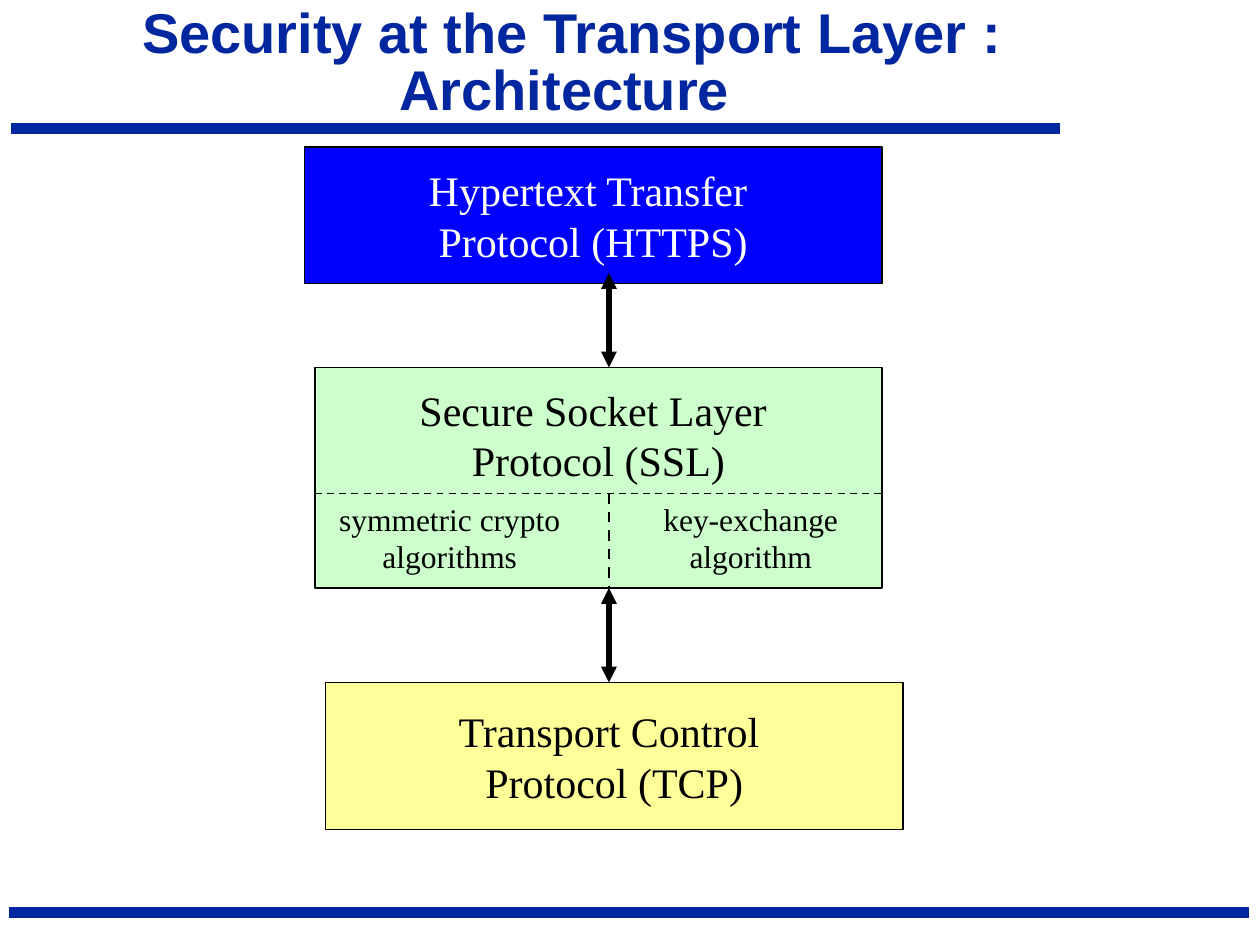
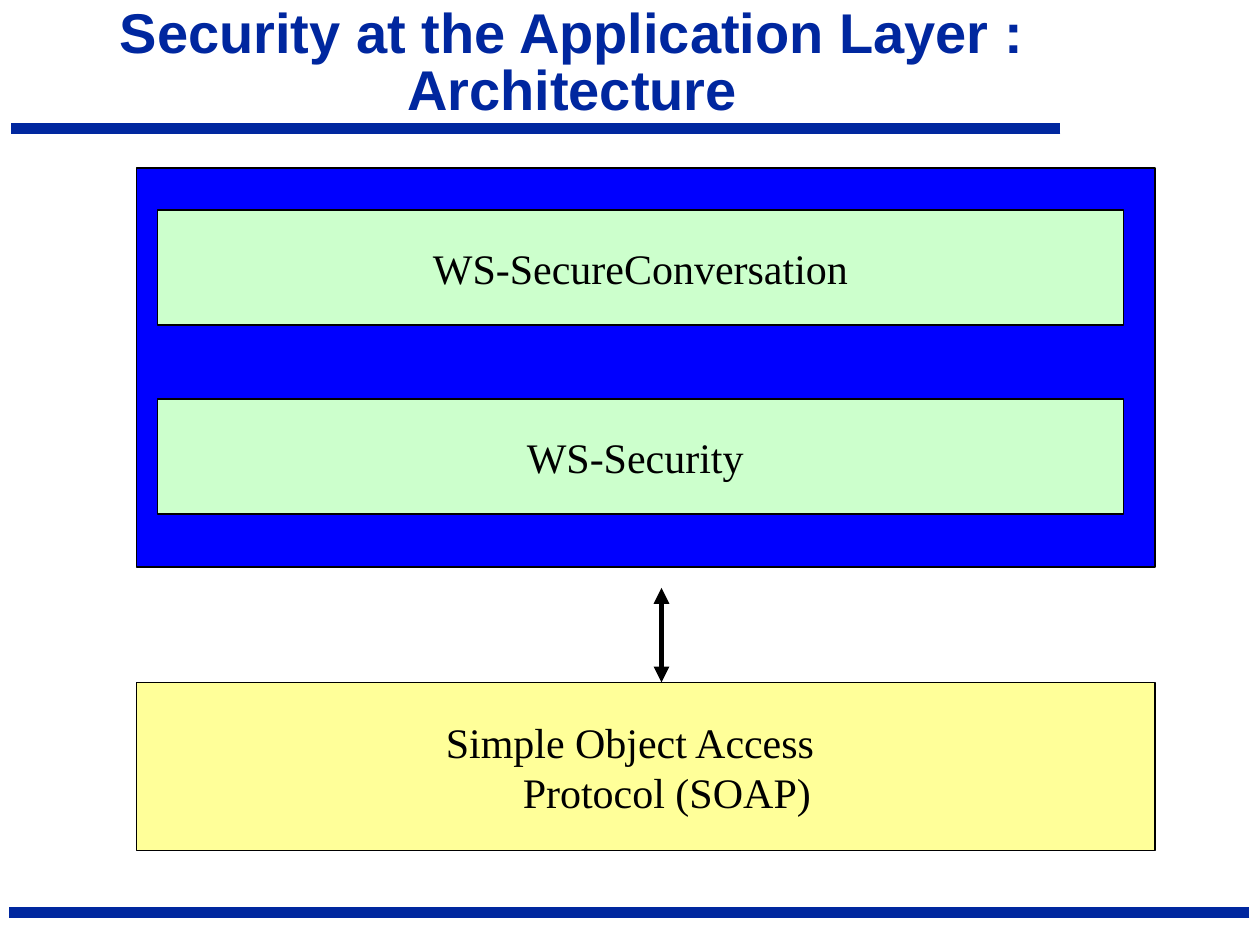
"""Builds two slides on security architecture at the transport and application layers."""
from lxml import etree
from pptx import Presentation
from pptx.dml.color import RGBColor
from pptx.enum.dml import MSO_LINE
from pptx.enum.shapes import MSO_CONNECTOR, MSO_SHAPE
from pptx.enum.text import MSO_ANCHOR, PP_ALIGN
from pptx.oxml.ns import qn
from pptx.util import Pt

STRAIGHT = MSO_CONNECTOR.STRAIGHT
RECTANGLE = MSO_SHAPE.RECTANGLE
DASH = MSO_LINE.DASH
MIDDLE = MSO_ANCHOR.MIDDLE
TOP = MSO_ANCHOR.TOP
CENTER = PP_ALIGN.CENTER

NAVY = RGBColor(0x00, 0x27, 0x9F)
BLUE = RGBColor(0x00, 0x00, 0xFF)
GREEN = RGBColor(0xCC, 0xFF, 0xCC)
YELLOW = RGBColor(0xFF, 0xFF, 0x99)
BLACK = RGBColor(0x00, 0x00, 0x00)
WHITE = RGBColor(0xFF, 0xFF, 0xFF)

TITLE_FONT = "Arial"
BODY_FONT = "Times New Roman"


def add_box(page, bounds, lines=(), fill=None, color=BLACK, size=24, font=BODY_FONT, anchor=MIDDLE):
    """Add a filled rectangle, or a plain text box when there is no fill."""
    lengths = [Pt(value) for value in bounds]
    if fill is None:
        box = page.shapes.add_textbox(*lengths)
    else:
        box = page.shapes.add_shape(RECTANGLE, *lengths)
        box.shadow.inherit = False
        box.fill.solid()
        box.fill.fore_color.rgb = fill
        box.line.color.rgb = BLACK
        box.line.width = Pt(1)
    frame = box.text_frame
    frame.word_wrap = True
    frame.vertical_anchor = anchor
    for index, line in enumerate(lines):
        para = frame.add_paragraph() if index else frame.paragraphs[0]
        para.alignment = CENTER
        span = para.add_run()
        span.text = line
        span.font.name = font
        span.font.size = Pt(size)
        span.font.color.rgb = color
    return box


def add_line(page, ends, width, color=BLACK, dashed=False, arrows=False):
    """Add a straight line, optionally dashed or with arrowheads at both ends."""
    line = page.shapes.add_connector(STRAIGHT, *[Pt(value) for value in ends])
    line.line.color.rgb = color
    line.line.width = Pt(width)
    if dashed:
        line.line.dash_style = DASH
    if arrows:
        outline = line.line._get_or_add_ln()
        for tag in ("a:headEnd", "a:tailEnd"):
            etree.SubElement(outline, qn(tag), type="triangle")
    etree.SubElement(line._element.spPr, qn("a:effectLst"))


deck = Presentation()
deck.slide_width = Pt(720)
deck.slide_height = Pt(540)

pages = []
for title in (
    "Security at the Transport Layer : Architecture ",
    "Security at the Application Layer : Architecture",
):
    page = deck.slides.add_slide(deck.slide_layouts[6])
    add_line(page, (606, 73.5, 6.5, 73.5), 6, NAVY)
    add_line(page, (714, 521.5, 5, 521.5), 6, NAVY)
    heading = add_box(page, (42, 12, 570, 50), [title], color=NAVY, size=32, font=TITLE_FONT)
    para = heading.text_frame.paragraphs[0]
    para.line_spacing = 0.85
    para.runs[0].font.bold = True
    pages.append(page)
transport, application = pages

add_box(transport, (186, 390, 330, 84), ["Transport Control ", "Protocol (TCP)"], YELLOW)
add_box(transport, (180, 210, 324, 126), fill=GREEN)
add_box(transport, (174, 84, 330, 78), ["Hypertext Transfer ", "Protocol (HTTPS)"], BLUE, WHITE)
add_box(transport, (180, 216, 324, 65), ["Secure Socket Layer ", "Protocol (SSL)"], anchor=TOP)
for left, width, label in (
    (180, 154, "symmetric crypto algorithms"),
    (348, 162, "key-exchange algorithm"),
):
    add_box(transport, (left, 282, width, 50), [label], size=18, anchor=TOP)
add_line(transport, (180, 282, 504, 282), 1, dashed=True)
add_line(transport, (348, 282, 348, 336), 1.5, dashed=True)
for top in (156, 336):
    add_line(transport, (348, top, 348, top + 54), 3, arrows=True)

soap = add_box(application, (78, 390, 582, 96), ["Simple Object Access", "Protocol (SOAP)"], YELLOW)
soap.text_frame.margin_right = Pt(25)
soap.text_frame.paragraphs[1]._p.get_or_add_pPr().set("marL", str(Pt(42)))
add_line(application, (378, 336, 378, 390), 3, arrows=True)
add_box(application, (78, 96, 582, 228), fill=BLUE)
for top, label in ((120, "WS-SecureConversation"), (228, "WS-Security ")):
    add_box(application, (90, top, 552, 66), [label], GREEN)

deck.save("out.pptx")
